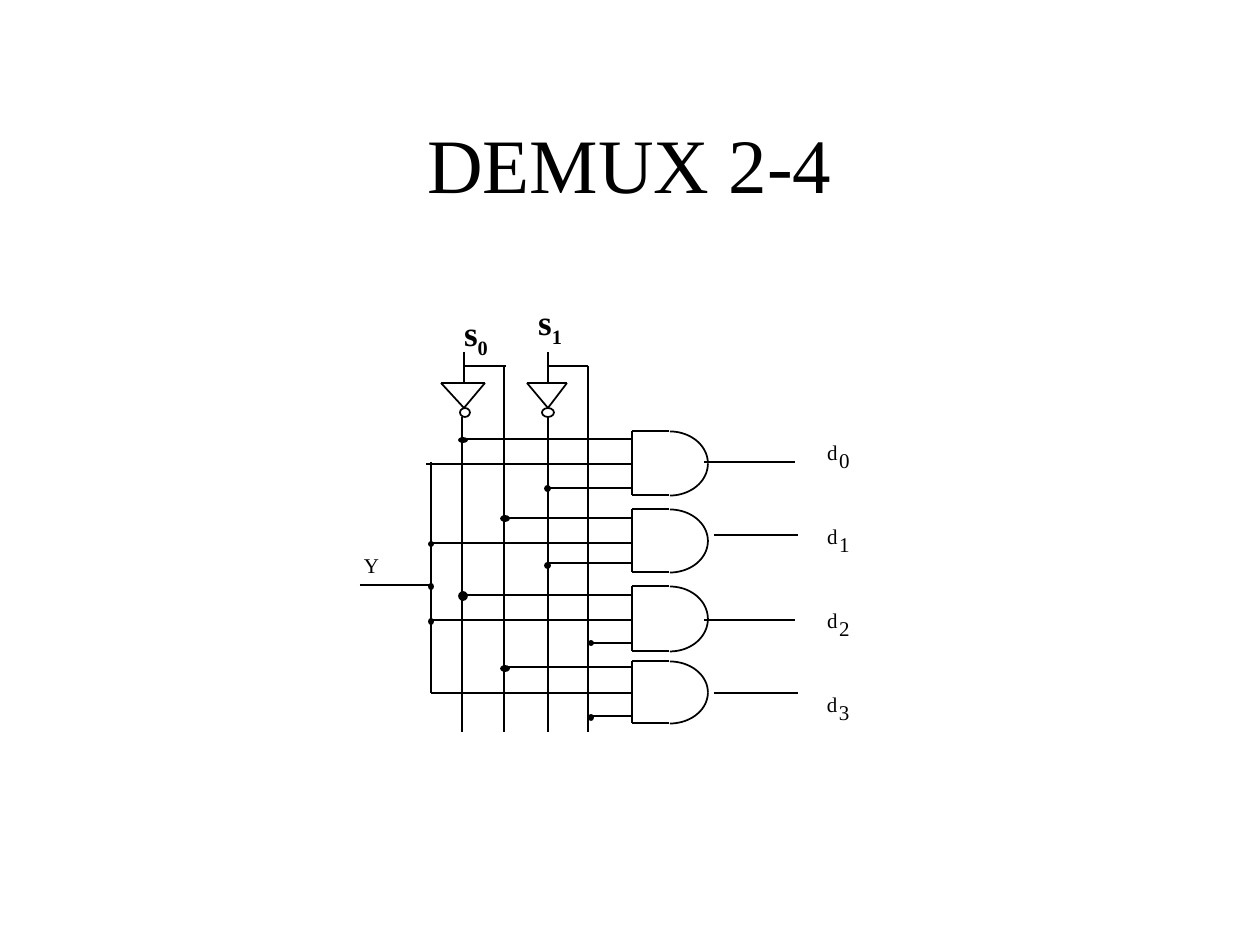
from math import cos, pi, sin
from typing import NamedTuple

from lxml import etree
from pptx import Presentation
from pptx import util as u
from pptx.dml.color import RGBColor
from pptx.enum import shapes, text
from pptx.oxml.ns import qn

PX = 914400 / 126
BLACK = RGBColor(0, 0, 0)
FONT = "Times New Roman"
GATE_X, ARC_X, ARC_W = 632, 670, 38
FOOT = 732
TRUNK = 431


class Wire(NamedTuple):
    x1: int
    y1: int
    x2: int
    y2: int


class Box(NamedTuple):
    x: int
    y: int
    w: int
    h: int


class Gate(NamedTuple):
    top: int
    base: int
    pins: tuple[int, int, int]
    starts: tuple[int, int, int]
    out: Wire


class Inverter(NamedTuple):
    left: int
    right: int
    tip: int
    bubble: Box
    comp: int  # bus carrying the inverted signal
    true: int  # bus carrying the plain signal
    turn: int
    head: int  # top of the inverted bus
    stub: int  # foot of the lead below the bubble


class Label(NamedTuple):
    box: Box
    words: str
    sub: str = ""
    size: int = 12
    bold: bool = False
    inset: tuple[int, int] = (0, 0)


INVERTERS = [
    Inverter(441, 485, 464, Box(460, 408, 10, 9), 462, 504, 506, 454, 454),
    Inverter(527, 567, 548, Box(542, 408, 12, 9), 548, 588, 588, 445, 449),
]
GATES = [
    Gate(431, 495, (439, 464, 488), (462, 426, 548), Wire(704, 462, 795, 462)),
    Gate(509, 572, (518, 543, 563), (504, TRUNK, 548), Wire(714, 535, 798, 535)),
    Gate(586, 651, (595, 620, 643), (462, TRUNK, 588), Wire(704, 620, 795, 620)),
    Gate(661, 723, (667, 693, 716), (504, TRUNK, 588), Wire(714, 693, 798, 693)),
]
DOTS = [
    Box(459, 438, 8, 4), Box(545, 486, 5, 5), Box(501, 516, 8, 5),
    Box(545, 563, 5, 5), Box(459, 592, 8, 8), Box(589, 641, 4, 4),
    Box(501, 666, 8, 5), Box(589, 715, 4, 5), Box(429, 542, 4, 4),
    Box(429, 619, 4, 5), Box(429, 584, 4, 5),
]
LABELS = [
    Label(Box(364, 553, 15, 25), "Y"),
    Label(Box(464, 312, 24, 48), "s", "0", 20, True),
    Label(Box(523, 295, 54, 60), "s", "1", 20, True, (13, 6)),
]
LAST = len(GATES) - 1
for row in range(len(GATES)):
    tail, wide = (" ", 16) if row < LAST else ("", 10)
    LABELS.append(Label(Box(827, 440 + 84 * row, wide, 25), "d" + tail))
    LABELS.append(Label(Box(839, 448 + 84 * row, wide, 25), f"{row}{tail}"))


def emu(px: float) -> u.Emu:
    return u.Emu(round(px * PX))


def ink(line) -> None:
    line.color.rgb = BLACK
    line.width = u.Pt(1)


def draw_wire(slide, wire: Wire) -> None:
    link = slide.shapes.add_connector(
        shapes.MSO_CONNECTOR.STRAIGHT, *map(emu, wire))
    ink(link.line)
    etree.SubElement(link._element.spPr, qn("a:effectLst"))


def draw_oval(slide, box: Box, solid: bool) -> None:
    oval = slide.shapes.add_shape(shapes.MSO_SHAPE.OVAL, *map(emu, box))
    oval.shadow.inherit = False
    ink(oval.line)
    if solid:
        oval.fill.solid()
        oval.fill.fore_color.rgb = BLACK
    else:
        oval.fill.background()


def draw_arc(slide, mid: float, high: float, start: float) -> None:
    """Draw a clockwise quarter of the gate's nose from the start angle."""
    steps = 20
    turns = [start + pi / 2 * i / steps for i in range(steps + 1)]
    dots = [(emu(ARC_X + ARC_W * cos(t)), emu(mid + high * sin(t)))
            for t in turns]
    path = slide.shapes.build_freeform(*dots[0])
    path.add_line_segments(dots[1:], close=False)
    arc = path.convert_to_shape()
    arc.shadow.inherit = False
    arc.fill.background()
    ink(arc.line)


def draw_gate(slide, gate: Gate) -> None:
    for y in (gate.top, gate.base):
        draw_wire(slide, Wire(GATE_X, y, ARC_X - 1, y))
    draw_wire(slide, Wire(GATE_X, gate.top, GATE_X, gate.base))
    mid, high = (gate.top + gate.base + 1) / 2, (gate.base - gate.top) / 2
    for start in (-pi / 2, 0):
        draw_arc(slide, mid, high, start)
    for x, y in zip(gate.starts, gate.pins):
        draw_wire(slide, Wire(x, y, GATE_X, y))
    draw_wire(slide, gate.out)


def draw_inverter(slide, inv: Inverter) -> None:
    for wire in (
        Wire(inv.tip, 352, inv.tip, 383),
        Wire(inv.left, 383, inv.right, 383),
        Wire(inv.left, 383, inv.tip, 408),
        Wire(inv.tip, 408, inv.right, 383),
        Wire(inv.tip, 366, inv.turn, 366),
        Wire(inv.true, 366, inv.true, FOOT),
        Wire(inv.comp, 417, inv.comp, inv.stub),
        Wire(inv.comp, inv.head, inv.comp, FOOT),
    ):
        draw_wire(slide, wire)
    draw_oval(slide, inv.bubble, False)


def add_run(para, words: str, size: int, bold: bool = False):
    run = para.add_run()
    run.text = words
    run.font.name, run.font.size, run.font.bold = FONT, u.Pt(size), bold
    run.font.color.rgb = BLACK
    return run


def draw_label(slide, label: Label) -> None:
    frame = slide.shapes.add_textbox(*map(emu, label.box)).text_frame
    frame.word_wrap = False
    frame.auto_size = text.MSO_AUTO_SIZE.SHAPE_TO_FIT_TEXT
    side, edge = map(emu, label.inset)
    frame.margin_left = frame.margin_right = side
    frame.margin_top = frame.margin_bottom = edge
    para = frame.paragraphs[0]
    para.alignment = text.PP_ALIGN.CENTER
    add_run(para, label.words, label.size, label.bold)
    if label.sub:
        run = add_run(para, label.sub, label.size, label.bold)
        run._r.get_or_add_rPr().set("baseline", "-25000")


def draw_title(slide, words: str) -> None:
    title = slide.shapes.title
    title.left, title.top, title.width, title.height = map(
        emu, Box(94, 84, 1071, 158))
    title.text_frame.vertical_anchor = text.MSO_ANCHOR.MIDDLE
    para = title.text_frame.paragraphs[0]
    para.alignment = text.PP_ALIGN.CENTER
    add_run(para, words, 44)


def main() -> None:
    deck = Presentation()
    deck.slide_width, deck.slide_height = emu(1260), emu(945)
    slide = deck.slides.add_slide(deck.slide_layouts[5])
    draw_title(slide, "DEMUX 2-4")
    for gate in GATES:
        draw_gate(slide, gate)
    for inv in INVERTERS:
        draw_inverter(slide, inv)
    draw_wire(slide, Wire(TRUNK, 462, TRUNK, 693))
    draw_wire(slide, Wire(360, 585, TRUNK, 585))
    for dot in DOTS:
        draw_oval(slide, dot, True)
    for label in LABELS:
        draw_label(slide, label)
    deck.save("out.pptx")


if __name__ == "__main__":
    main()
